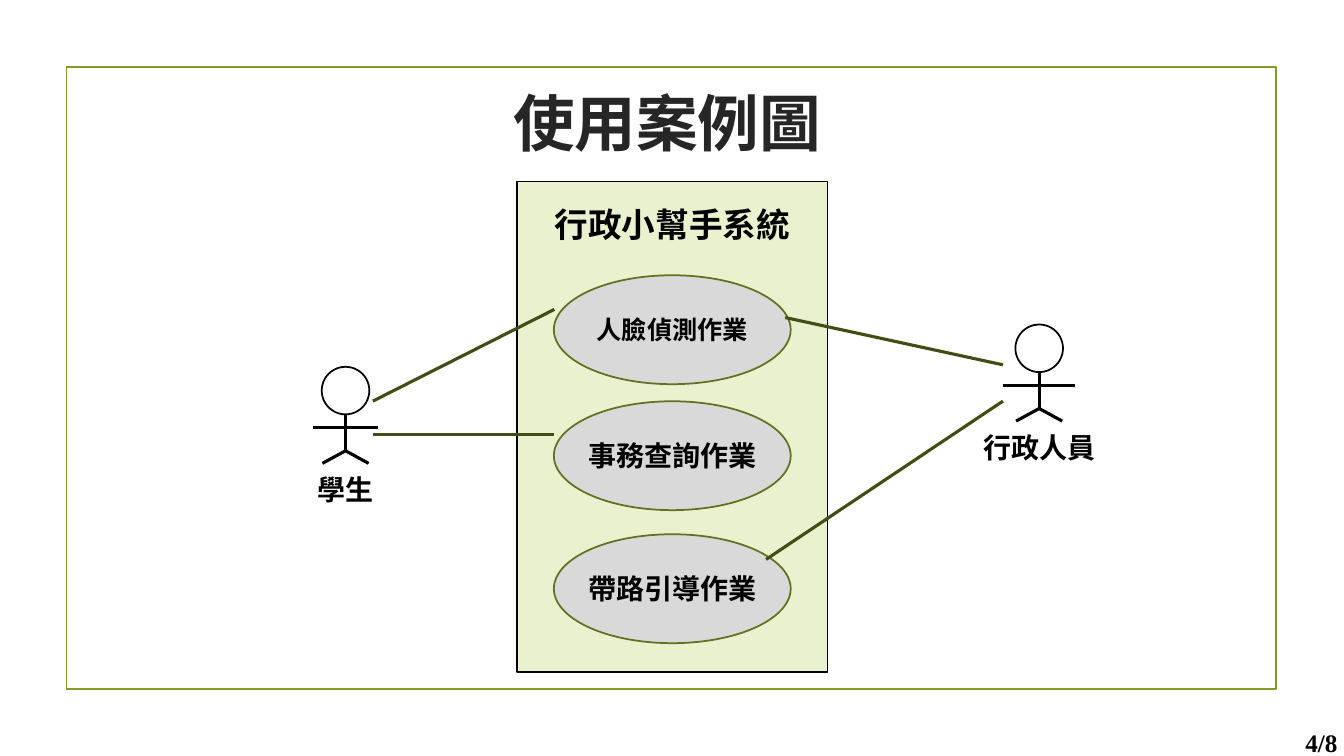
from dataclasses import dataclass

from lxml import etree
from pptx import Presentation
from pptx.dml.color import RGBColor
from pptx.enum.shapes import MSO_CONNECTOR, MSO_SHAPE
from pptx.enum.text import MSO_ANCHOR, MSO_AUTO_SIZE, PP_ALIGN
from pptx.oxml.ns import qn
from pptx.util import Pt

RECT, OVAL = MSO_SHAPE.RECTANGLE, MSO_SHAPE.OVAL
LINE = MSO_CONNECTOR.STRAIGHT
MIDDLE, CENTER = MSO_ANCHOR.MIDDLE, PP_ALIGN.CENTER
FIXED = MSO_AUTO_SIZE.NONE


@dataclass(frozen=True)
class Theme:
    font: str = "Times New Roman"
    ink: str = "000000"
    title: str = "262626"
    frame: str = "83992A"
    panel: str = "EAF1CE"
    oval: str = "D9D9D9"
    rim: str = "61711F"
    link: str = "414D15"
    thin: float = 1.25
    thick: float = 2.25
    huge: int = 44
    large: int = 24
    body: int = 20
    small: int = 18


THEME = Theme()


def color(code):
    return RGBColor.from_string(code)


def place(box):
    return [Pt(size) for size in box]


def write(frame, text, size, ink=THEME.ink):
    frame.auto_size = FIXED
    frame.word_wrap = False
    frame.vertical_anchor = MIDDLE
    frame.margin_left = frame.margin_right = 0
    frame.margin_top = frame.margin_bottom = 0
    frame.text = text
    para = frame.paragraphs[0]
    para.alignment = CENTER
    para.font.name = THEME.font
    para.font.size = Pt(size)
    para.font.bold = True
    para.font.color.rgb = color(ink)


def label(shapes, box, text, size):
    write(shapes.add_textbox(*place(box)).text_frame, text, size)


def shape(shapes, kind, box, edge, fill=None):
    item = shapes.add_shape(kind, *place(box))
    item.shadow.inherit = False
    item.line.color.rgb = color(edge)
    item.line.width = Pt(THEME.thin)
    if fill:
        item.fill.solid()
        item.fill.fore_color.rgb = color(fill)
    else:
        item.fill.background()


def line(shapes, ends, ink):
    item = shapes.add_connector(LINE, *place(ends))
    item.line.color.rgb = color(ink)
    item.line.width = Pt(THEME.thick)
    props = item._element.find(qn("p:spPr"))
    etree.SubElement(props, qn("a:effectLst"))


def header(slide, box, text):
    title = slide.shapes.title
    title.left, title.top, title.width, title.height = place(box)
    write(title.text_frame, text, THEME.huge, THEME.title)


def system(shapes, box, name, cases):
    left, top, width, height = box
    shape(shapes, RECT, box, THEME.ink, THEME.panel)
    label(shapes, (left + 18.5, top + 12.3, width - 37, 36), name, THEME.large)
    wide, tall = 169.2, 77.8
    edge = left + (width - wide) / 2
    for drop, text, size in cases:
        oval = (edge, top + drop, wide, tall)
        shape(shapes, OVAL, oval, THEME.rim, THEME.oval)
        label(shapes, (edge + 17, top + drop + 23, wide - 34, 31.8), text, size)


def actor(shapes, box, name):
    left, top, width, height = box
    group = shapes.add_group_shape().shapes
    mid, head, foot = left + width / 2, 34, 69
    hip, arm = top + 60, top + 43.3
    shape(group, OVAL, (mid - head / 2, top, head, head), THEME.ink)
    limbs = [
        (left, arm, left + width, arm),
        (mid, top + head, mid, hip),
        (mid, hip, mid - 16.5, top + foot),
        (mid, hip, mid + 16.5, top + foot),
    ]
    for ends in limbs:
        line(group, ends, THEME.ink)
    label(group, (mid - 47.5, top + 72, 95, height - 72), name, THEME.body)


def links(shapes, routes):
    for ends in routes:
        line(shapes, ends, THEME.link)


def main():
    deck = Presentation()
    deck.slide_width, deck.slide_height = Pt(960), Pt(540)
    slide = deck.slides.add_slide(deck.slide_layouts[5])
    shapes = slide.shapes
    shape(shapes, RECT, (47.5, 48, 864, 444.3), THEME.frame)
    header(slide, (98.6, 60, 756, 54.7), "使用案例圖")
    system(shapes, (369.3, 129.6, 221.8, 350.6), "行政小幫手系統", [
        (67, "人臉偵測作業", THEME.small),
        (157, "事務查詢作業", THEME.body),
        (252, "帶路引導作業", THEME.body),
    ])
    links(shapes, [
        (266.4, 286.5, 396, 221),
        (266.4, 310.3, 396, 310.3),
        (560.9, 226.8, 716.4, 260.6),
        (547.2, 399.6, 716.4, 286.5),
    ])
    actor(shapes, (716.4, 231.8, 51.8, 103.7), "行政人員")
    actor(shapes, (223.8, 262, 46, 103.7), "學生")
    label(shapes, (923, 516.2, 41.8, 28.8), "4/8", THEME.small)
    deck.save("out.pptx")


if __name__ == "__main__":
    main()
